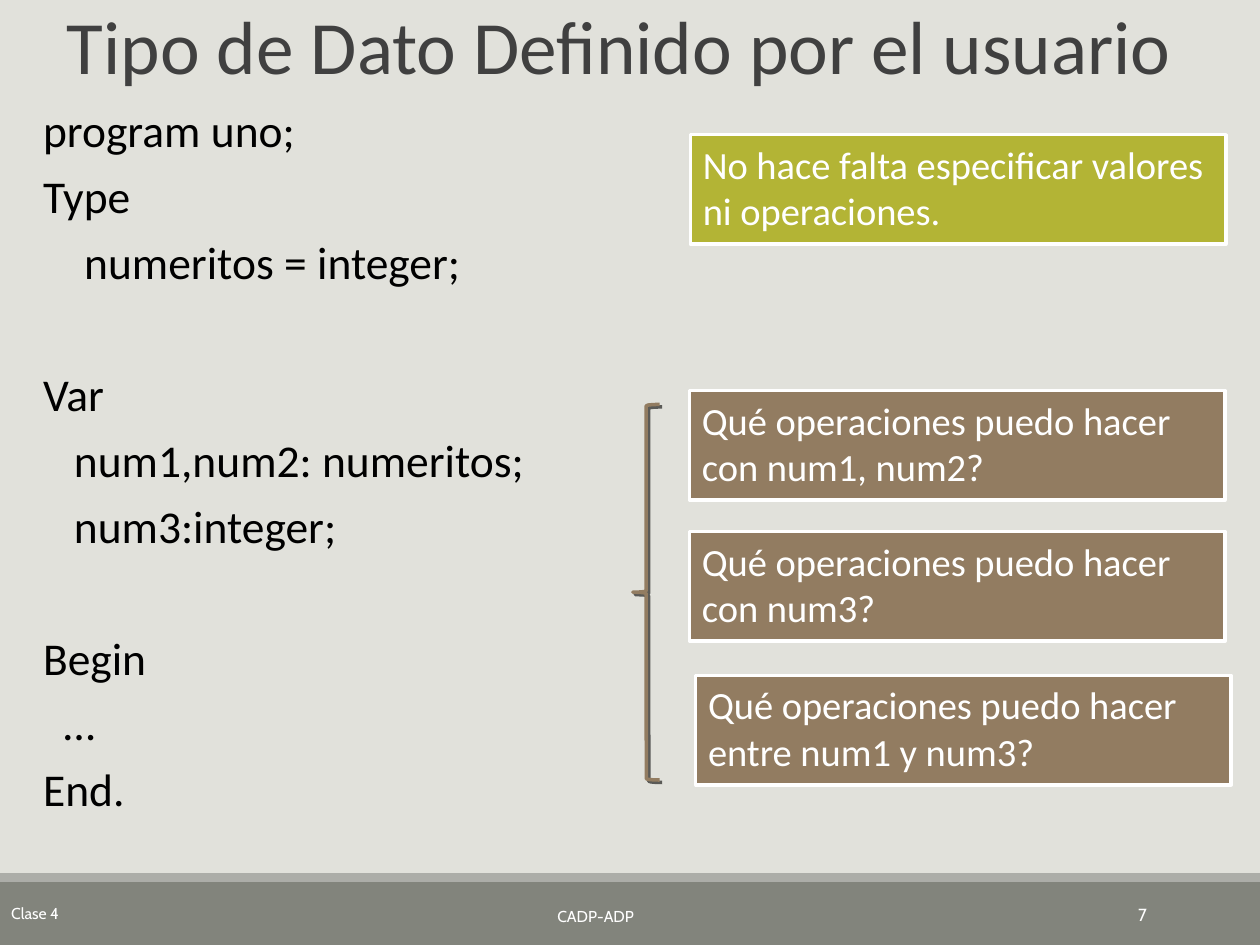
from lxml import etree
from pptx import Presentation
from pptx import util as u
from pptx.dml.color import RGBColor
from pptx.enum import shapes, text
from pptx.oxml import ns

BODY_FONT, FOOTER_FONT = "Calibri", "Cabin"
WHITE, BROWN, OLIVE = "FFFFFF", "927C61", "B3B435"
CODE_GAP = 6.5    # space between code lines
CODE_LINE = 31.2  # height of one code line

# Each code line with the number of empty lines above it
CODE = [
    ("program uno;", 0),
    ("Type", 0),
    ("    numeritos = integer;", 0),
    ("Var", 1),
    ("   num1,num2: numeritos;", 0),
    ("   num3:integer;", 0),
    ("Begin", 1),
    ("  …", 0),
    ("End.", 0),
]
NOTES = [
    ("No hace falta especificar valores ni operaciones.", 394.5, 77, OLIVE),
    ("Qué operaciones puedo hacer con num1, num2?", 394, 223.2, BROWN),
    ("Qué operaciones puedo hacer con num3?", 394, 303.8, BROWN),
    ("Qué operaciones puedo hacer entre num1 y num3?", 397.5, 385.9, BROWN),
]
FOOTERS = [
    ("Clase 4", (-0.7, 506.9, 60.5, 29.5), 9, text.PP_ALIGN.LEFT),
    ("CADP-ADP", (308.9, 509, 60.5, 28.8), 9, text.PP_ALIGN.RIGHT),
    ("7", (584.6, 508.3, 77.8, 28.8), 10, text.PP_ALIGN.RIGHT),
]


def color(value):
    return RGBColor.from_string(value)


def points(box):
    return [u.Pt(value) for value in box]


def apply(target, values):
    for name, value in values.items():
        setattr(target, name, value)


def place(shape, box):
    apply(shape, dict(zip(("left", "top", "width", "height"), points(box))))


def format_frame(frame, anchor=text.MSO_ANCHOR.TOP):
    apply(frame, {"word_wrap": True, "vertical_anchor": anchor,
                  "auto_size": text.MSO_AUTO_SIZE.NONE})


def write(paragraph, content, size, font=BODY_FONT, fill=WHITE,
          align=text.PP_ALIGN.LEFT):
    run = paragraph.add_run()
    run.text = content
    paragraph.alignment = align
    apply(run.font, {"name": font, "size": u.Pt(size)})
    run.font.color.rgb = color(fill)


def add_block(slide, box, fill, line=None):
    shape = slide.shapes.add_shape(shapes.MSO_SHAPE.RECTANGLE, *points(box))
    shape.shadow.inherit = False
    shape.fill.solid()
    shape.fill.fore_color.rgb = color(fill)
    if line:
        shape.line.color.rgb = color(line)
        shape.line.width = u.Pt(2)
    else:
        shape.line.fill.background()
    return shape


def add_note(slide, content, left, top, fill):
    shape = add_block(slide, (left, top, 306, 62.6), fill, WHITE)
    format_frame(shape.text_frame)
    write(shape.text_frame.paragraphs[0], content, 22)


def add_footer(slide, content, box, size, align):
    frame = slide.shapes.add_textbox(*points(box)).text_frame
    format_frame(frame, text.MSO_ANCHOR.MIDDLE)
    write(frame.paragraphs[0], content, size, FOOTER_FONT, align=align)


def fill_title(slide):
    title = slide.shapes.title
    place(title, (31, 3.6, 646.6, 60.5))
    format_frame(title.text_frame)
    paragraph = title.text_frame.paragraphs[0]
    paragraph.line_spacing = 0.85
    write(paragraph, "Tipo de Dato Definido por el usuario", 43, fill="404040")


def fill_code(slide):
    body = slide.placeholders[1]
    place(body, (14.4, 54.7, 306, 453.6))
    format_frame(body.text_frame)
    for index, (line, empty_lines) in enumerate(CODE):
        frame = body.text_frame
        paragraph = frame.add_paragraph() if index else frame.paragraphs[0]
        properties = paragraph._p.get_or_add_pPr()
        properties.set("marL", str(u.Pt(33)))
        properties.set("indent", str(u.Pt(-30)))
        etree.SubElement(properties, ns.qn("a:buNone"))
        gap = CODE_GAP + empty_lines * (CODE_LINE + CODE_GAP)
        paragraph.space_before = u.Pt(gap if index else 0)
        write(paragraph, line, 26, fill="000000")


def add_brace(slide, box):
    brace = slide.shapes.add_shape(shapes.MSO_SHAPE.LEFT_BRACE, *points(box))
    brace.adjustments[0] = 0.05
    brace.fill.background()
    brace.line.color.rgb = color(BROWN)
    brace.line.width = u.Pt(2)
    # Hard drop shadow towards the lower right
    brace.shadow.inherit = False
    effects = brace._element.spPr.find(ns.qn("a:effectLst"))
    shadow = etree.SubElement(effects, ns.qn("a:outerShdw"), blurRad="0",
                              dist=str(u.Pt(2)), dir="2700000", rotWithShape="0")
    tint = etree.SubElement(shadow, ns.qn("a:srgbClr"), val="000000")
    etree.SubElement(tint, ns.qn("a:alpha"), val="60000")


def main():
    presentation = Presentation()
    apply(presentation, {"slide_width": u.Pt(720), "slide_height": u.Pt(540)})
    slide = presentation.slides.add_slide(presentation.slide_layouts[1])
    slide.background.fill.solid()
    slide.background.fill.fore_color.rgb = color("E1E1DB")

    # Footer band
    add_block(slide, (0, 504, 720, 36), "82847C")
    add_block(slide, (0, 499, 720, 5), "ACADA8")
    for footer in FOOTERS:
        add_footer(slide, *footer)

    # Title and program
    fill_title(slide)
    fill_code(slide)

    # Notes and the brace that groups the questions
    for note in NOTES:
        add_note(slide, *note)
    add_brace(slide, (361.6, 231.1, 15.4, 214.6))

    presentation.save("out.pptx")


if __name__ == "__main__":
    main()
